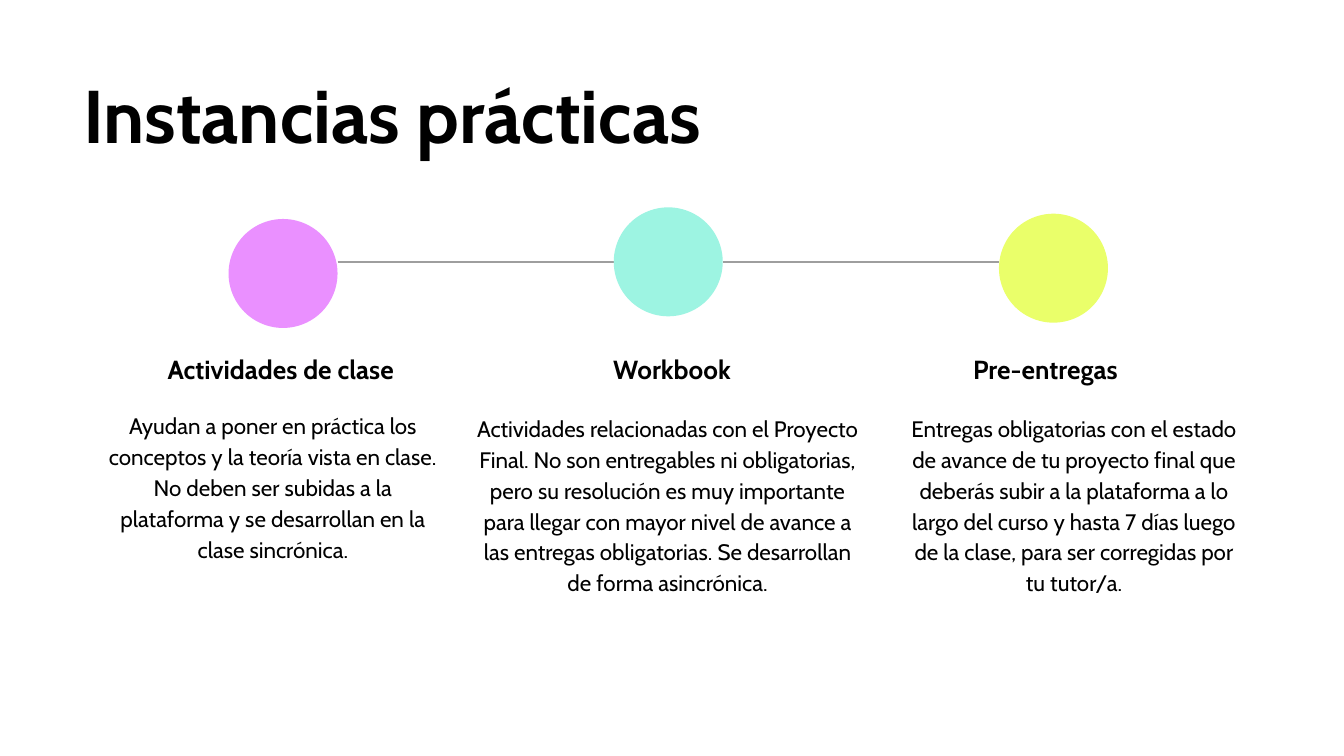
from dataclasses import dataclass
from itertools import pairwise

from lxml.etree import SubElement
from pptx import Presentation
from pptx.dml.color import RGBColor
from pptx.enum.shapes import MSO_CONNECTOR, MSO_SHAPE
from pptx.enum.text import MSO_ANCHOR, MSO_AUTO_SIZE, PP_ALIGN
from pptx.oxml.ns import qn
from pptx.util import Cm, Pt


@dataclass(frozen=True)
class Theme:
    font: str = "Cabin"
    ink: str = "000000"
    background: str = "FFFFFF"
    rule: str = "9E9E9E"
    title_size: float = 40
    heading_size: float = 14
    body_size: float = 12
    rule_width: float = 0.75


@dataclass(frozen=True)
class Practice:
    heading: str
    body: str
    color: str
    circle_top: float
    heading_box: tuple
    body_box: tuple


THEME = Theme()
CIRCLE_LEFT, CIRCLE_PITCH, CIRCLE_SIZE = 4.32, 7.28, 2.06
RULE_Y = 4.95

# Boxes are left, top, width, height in centimetres.
PRACTICES = [
    Practice(
        "Actividades de clase",
        "Ayudan a poner en práctica los conceptos y la teoría vista en clase. "
        "No deben ser subidas a la plataforma y se desarrollan en la clase sincrónica.",
        "EA90FF", 4.14, (2.26, 6.35, 6.1, 1.12), (1.73, 7.47, 6.86, 3.38),
    ),
    Practice(
        "Workbook",
        "Actividades relacionadas con el Proyecto Final. No son entregables ni "
        "obligatorias, pero su resolución es muy importante para llegar con mayor nivel "
        "de avance a las entregas obligatorias. Se desarrollan de forma asincrónica.",
        "9DF4E2", 3.92, (9.98, 6.35, 5.44, 1.12), (8.71, 7.52, 7.82, 4.57),
    ),
    Practice(
        "Pre-entregas",
        "Entregas obligatorias con el estado de avance de tu proyecto final que deberás "
        "subir a la plataforma a lo largo del curso y hasta 7 días luego de la clase, "
        "para ser corregidas por tu tutor/a.",
        "EAFF6A", 4.04, (17.04, 6.35, 5.44, 1.12), (16.87, 7.52, 6.86, 4.57),
    ),
]


def write_text(shape, text, *, size, bold=False, align=PP_ALIGN.CENTER, spacing=1.15):
    frame = shape.text_frame
    frame.word_wrap = True
    frame.auto_size = MSO_AUTO_SIZE.SHAPE_TO_FIT_TEXT
    frame.vertical_anchor = MSO_ANCHOR.TOP
    frame.margin_left = frame.margin_right = Cm(0.25)
    frame.margin_top = frame.margin_bottom = Cm(0.25)
    frame.text = text
    paragraph = frame.paragraphs[0]
    paragraph.alignment = align
    paragraph.line_spacing = spacing
    paragraph.space_before = Pt(0)
    font = paragraph.runs[0].font
    font.name = THEME.font
    font.size = Pt(size)
    font.bold = bold
    font.color.rgb = RGBColor.from_string(THEME.ink)


def add_title(slide, text):
    title = slide.shapes.title
    title.left, title.top, title.width, title.height = map(Cm, (1.32, 1.24, 22.6, 2.06))
    write_text(title, text, size=THEME.title_size, bold=True,
               align=PP_ALIGN.LEFT, spacing=0.9)


def add_text(slide, box, text, **text_format):
    write_text(slide.shapes.add_textbox(*map(Cm, box)), text, **text_format)


def add_rule(slide, start, end):
    rule = slide.shapes.add_connector(
        MSO_CONNECTOR.STRAIGHT, Cm(start), Cm(RULE_Y), Cm(end), Cm(RULE_Y))
    rule.line.color.rgb = RGBColor.from_string(THEME.rule)
    rule.line.width = Pt(THEME.rule_width)
    SubElement(rule._element.spPr, qn("a:effectLst"))


def add_circle(slide, left, top, color):
    circle = slide.shapes.add_shape(
        MSO_SHAPE.OVAL, Cm(left), Cm(top), Cm(CIRCLE_SIZE), Cm(CIRCLE_SIZE))
    circle.shadow.inherit = False
    circle.fill.solid()
    circle.fill.fore_color.rgb = RGBColor.from_string(color)
    circle.line.fill.background()


def main():
    presentation = Presentation()
    presentation.slide_width, presentation.slide_height = Cm(25.4), Cm(14.29)
    slide = presentation.slides.add_slide(presentation.slide_layouts[5])
    slide.background.fill.solid()
    slide.background.fill.fore_color.rgb = RGBColor.from_string(THEME.background)

    add_title(slide, "Instancias prácticas")
    for practice in PRACTICES:
        add_text(slide, practice.heading_box, practice.heading,
                 size=THEME.heading_size, bold=True)
        add_text(slide, practice.body_box, practice.body, size=THEME.body_size)

    lefts = [CIRCLE_LEFT + CIRCLE_PITCH * index for index in range(len(PRACTICES))]
    for left, next_left in pairwise(lefts):
        add_rule(slide, left + CIRCLE_SIZE, next_left)
    for left, practice in zip(lefts, PRACTICES):
        add_circle(slide, left, practice.circle_top, practice.color)

    presentation.save("out.pptx")


if __name__ == "__main__":
    main()
